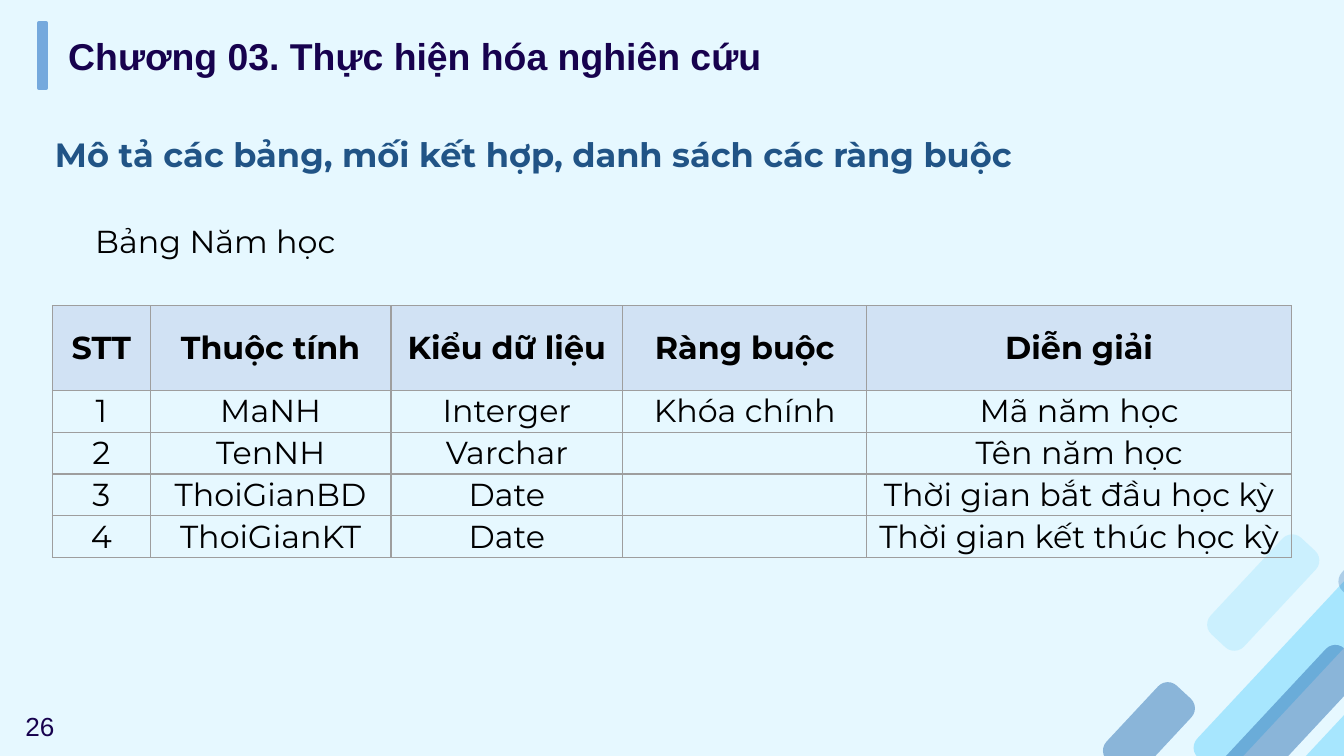
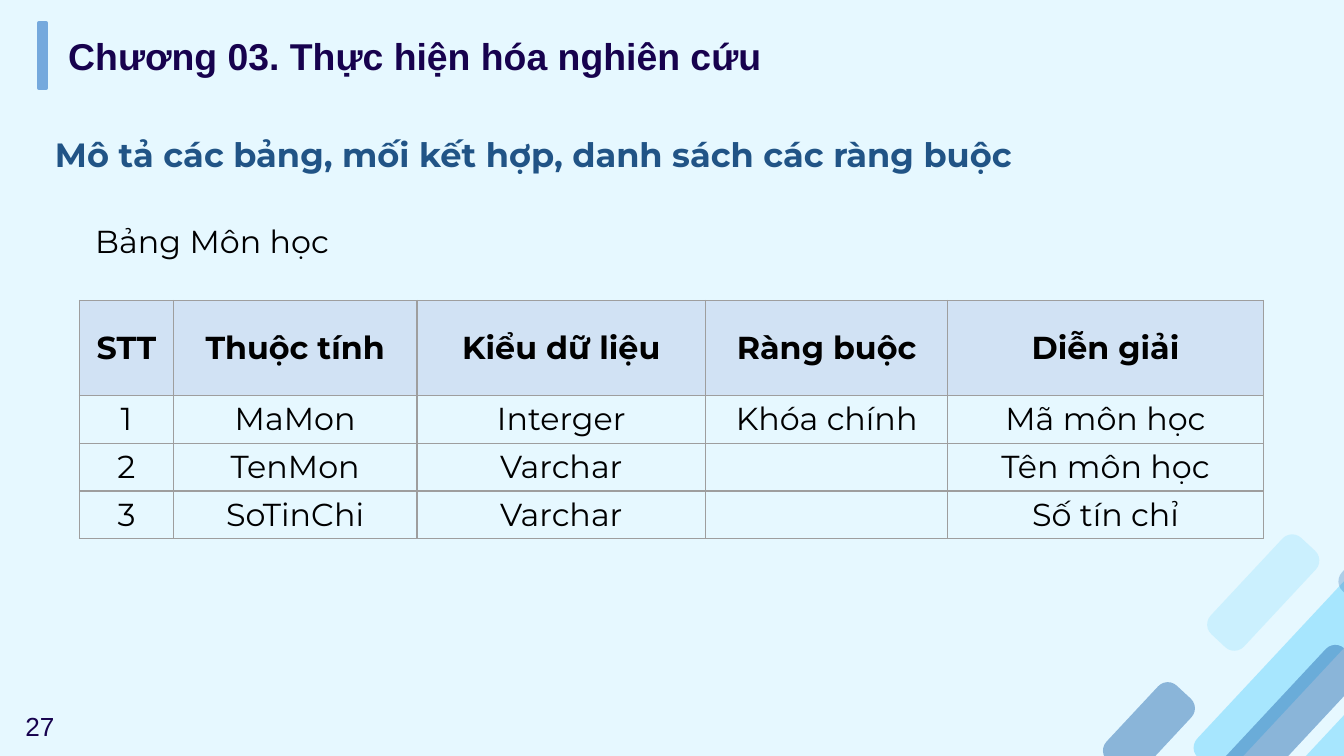
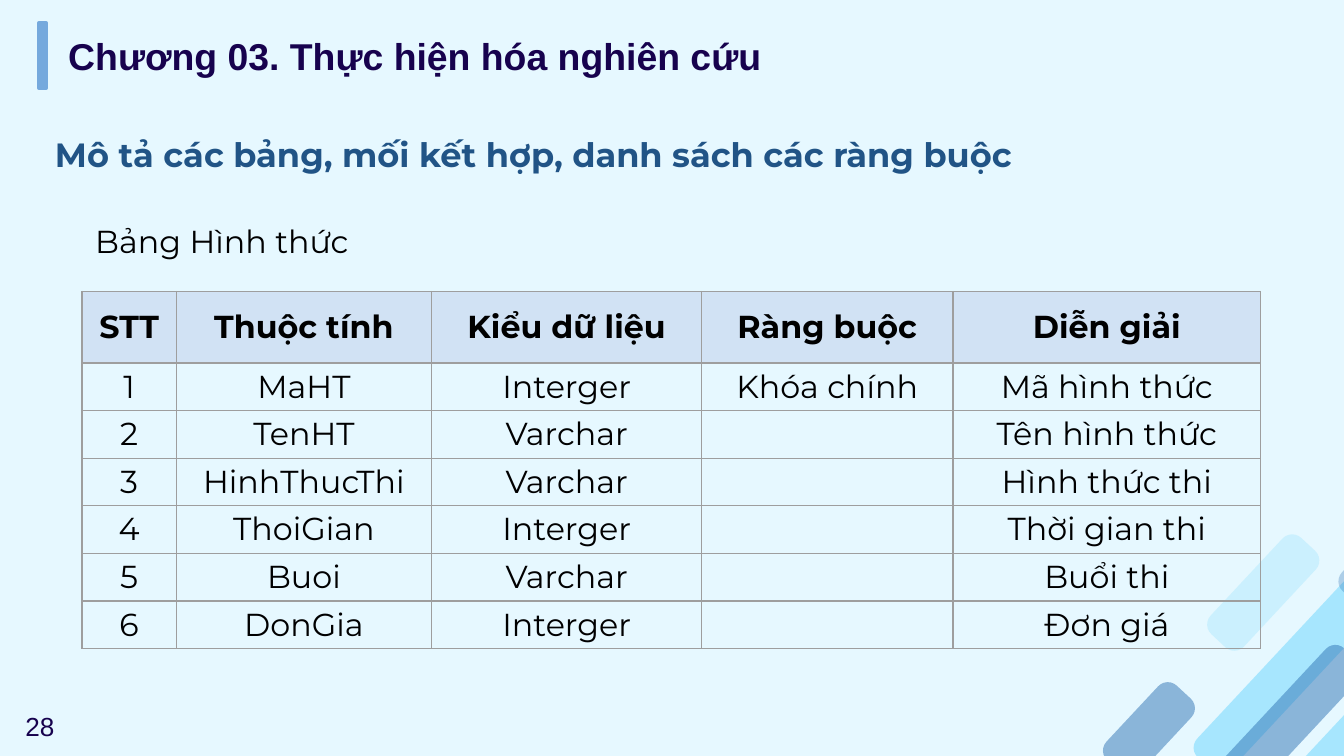
from pptx import Presentation
from pptx.dml.color import RGBColor
from pptx.enum.shapes import MSO_SHAPE
from pptx.enum.text import MSO_ANCHOR, MSO_AUTO_SIZE, PP_ALIGN
from pptx.oxml import parse_xml
from pptx.oxml.ns import nsdecls, qn
from pptx.util import Cm, Pt

PAGE, NAVY, BLUE, BLACK = "E6F8FF", "17024E", "215486", "000000"
BAR, HEAD, GRID = "75A9DD", "D1E2F4", "9E9E9E"
DEEP, SKY = "2C70B3", "17BFFE"

TITLE = {"name": "Arial", "size": Pt(20), "bold": True}
TOPIC = {"name": "Montserrat", "size": Pt(18), "bold": True}
LABEL = {"name": "Montserrat", "size": Pt(17), "bold": True}
BODY = {"name": "Montserrat", "size": Pt(17), "bold": False}
FOOT = {"name": "Arial", "size": Pt(14), "bold": False}
CELL = {
    "margin_left": Cm(0.18), "margin_right": Cm(0.18),
    "margin_top": 0, "margin_bottom": 0,
    "vertical_anchor": MSO_ANCHOR.MIDDLE,
}

# left, top, width, colour, opacity in percent
STRIPES = [
    (20.75, 13.36, 1.93, DEEP, 49),
    (21.87, 11.94, 5.66, SKY, 30),
    (20.78, 14.02, 5.66, DEEP, 49),
    (24.51, 13.64, 1.93, SKY, 30),
    (22.63, 10.77, 2.49, SKY, 13),
    (25.2, 10.16, 1.93, DEEP, 30),
]

HEADS = ["STT", "Thuộc tính", "Kiểu dữ liệu", "Ràng buộc", "Diễn giải"]

# name, left, top, column widths, head height, row height, fields
TABLES = [
    ("Bảng Năm học", 0.99, 5.78, [1.85, 4.55, 4.38, 4.61, 8.03], 1.6, 0.79, [
        ("MaNH", "Interger", "Mã năm học"),
        ("TenNH", "Varchar", "Tên năm học"),
        ("ThoiGianBD", "Date", "Thời gian bắt đầu học kỳ"),
        ("ThoiGianKT", "Date", "Thời gian kết thúc học kỳ"),
    ]),
    ("Bảng Môn học", 1.5, 5.68, [1.78, 4.6, 5.46, 4.57, 5.97], 1.8, 0.9, [
        ("MaMon", "Interger", "Mã môn học"),
        ("TenMon", "Varchar", "Tên môn học"),
        ("SoTinChi", "Varchar", "Số tín chỉ"),
    ]),
    ("Bảng Hình thức", 1.55, 5.51, [1.78, 4.83, 5.1, 4.75, 5.82], 1.35, 0.9, [
        ("MaHT", "Interger", "Mã hình thức"),
        ("TenHT", "Varchar", "Tên hình thức"),
        ("HinhThucThi", "Varchar", "Hình thức thi"),
        ("ThoiGian", "Interger", "Thời gian thi"),
        ("Buoi", "Varchar", "Buổi thi"),
        ("DonGia", "Interger", "Đơn giá"),
    ]),
]


def paint(fill, color):
    fill.solid()
    fill.fore_color.rgb = RGBColor.from_string(color)


def write(para, text, form, color):
    """Add one run of text with the given font values."""
    run = para.add_run()
    run.text = text
    for key, value in form.items():
        setattr(run.font, key, value)
    paint(run.font.fill, color)


deck = Presentation()
deck.slide_width, deck.slide_height = Cm(25.4), Cm(14.29)
paint(deck.slide_master.background.fill, PAGE)

for page, (name, left, top, widths, tall, step, fields) in enumerate(TABLES, 26):
    slide = deck.slides.add_slide(deck.slide_layouts[6])
    shapes = slide.shapes

    for x, y, width, color, alpha in STRIPES:
        stripe = shapes.add_shape(
            MSO_SHAPE.ROUNDED_RECTANGLE, Cm(x), Cm(y), Cm(width), Cm(0.86))
        stripe.adjustments[0] = 0.29
        stripe.rotation = 313
        stripe.shadow.inherit = False
        stripe.line.fill.background()
        paint(stripe.fill, color)
        tone = stripe._element.spPr.find(".//" + qn("a:srgbClr"))
        tone.append(parse_xml(f'<a:alpha {nsdecls("a")} val="{alpha * 1000}"/>'))

    bar = shapes.add_shape(
        MSO_SHAPE.RECTANGLE, Cm(0.74), Cm(0.43), Cm(0.13), Cm(1.24))
    bar.shadow.inherit = False
    bar.line.width = Pt(2)
    paint(bar.fill, BAR)
    paint(bar.line.fill, BAR)

    for text, x, y, width, height, form, color in [
        ("Chương 03. Thực hiện hóa nghiên cứu",
         1.04, 0.51, 20.75, 1.12, TITLE, NAVY),
        ("Mô tả các bảng, mối kết hợp, danh sách các ràng buộc",
         0.79, 2.03, 24.03, 1.27, TOPIC, BLUE),
        (name, 1.55, 4.06, 5.59, 0.99, BODY, BLACK),
        (str(page), 0.23, 13.31, 1.5, 0.86, FOOT, NAVY),
    ]:
        frame = shapes.add_textbox(Cm(x), Cm(y), Cm(width), Cm(height)).text_frame
        frame.word_wrap = True
        frame.auto_size = MSO_AUTO_SIZE.SHAPE_TO_FIT_TEXT
        para = frame.paragraphs[0]
        if form is TOPIC:
            para.alignment = PP_ALIGN.JUSTIFY
            para.line_spacing = 1.5
        write(para, text, form, color)

    rows = [HEADS]
    for num, (field, kind, note) in enumerate(fields, 1):
        rows.append([str(num), field, kind, "Khóa chính" if num == 1 else "", note])

    table = shapes.add_table(
        len(rows), len(HEADS), Cm(left), Cm(top),
        Cm(sum(widths)), Cm(tall + step * len(fields))).table
    table.horz_banding = False
    for col, width in zip(table.columns, widths):
        col.width = Cm(width)

    for r, row in enumerate(rows):
        table.rows[r].height = Cm(step if r else tall)
        for c, text in enumerate(row):
            cell = table.cell(r, c)
            for key, value in CELL.items():
                setattr(cell, key, value)
            for side in "LRTB":
                cell._tc.get_or_add_tcPr().append(parse_xml(
                    f'<a:ln{side} {nsdecls("a")} w="{Pt(0.75)}"><a:solidFill>'
                    f'<a:srgbClr val="{GRID}"/></a:solidFill></a:ln{side}>'))
            if r:
                cell.fill.background()
            else:
                paint(cell.fill, HEAD)
            para = cell.text_frame.paragraphs[0]
            para.alignment = PP_ALIGN.CENTER
            if text:
                write(para, text, BODY if r else LABEL, BLACK)

deck.save("out.pptx")
